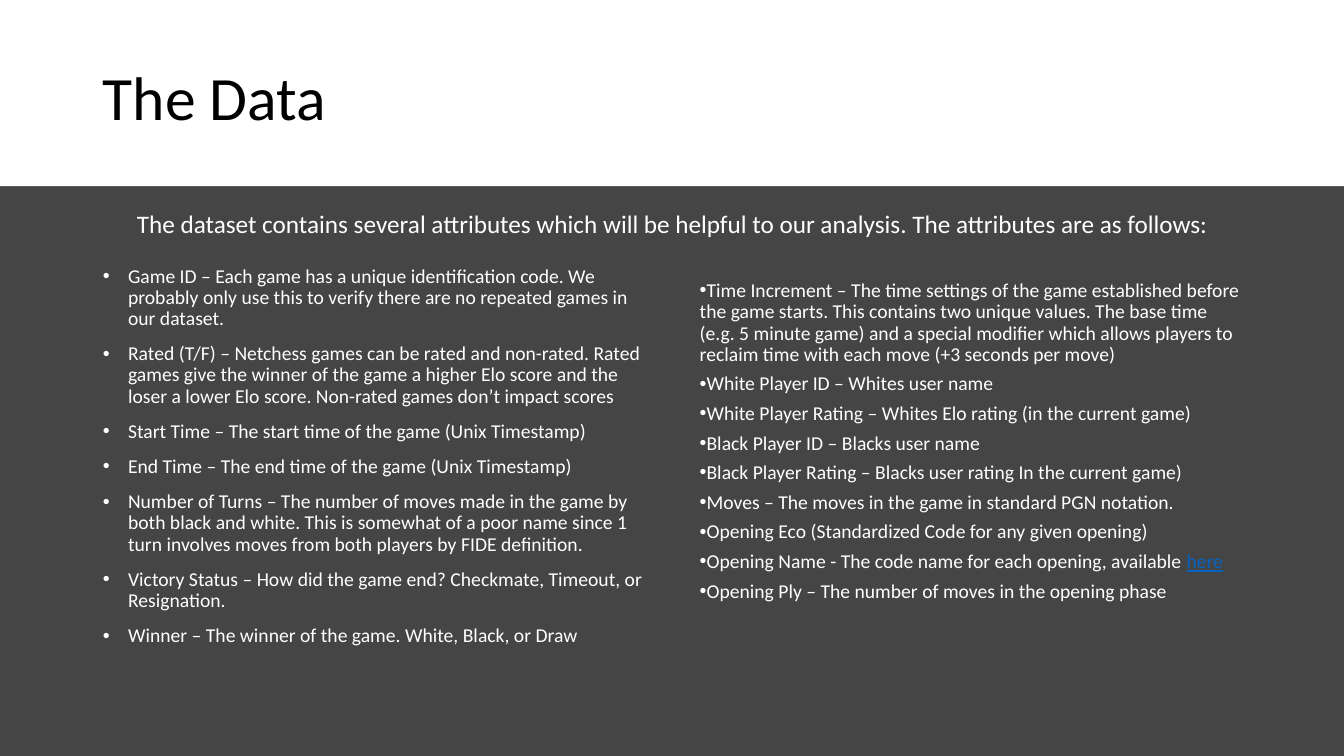
from dataclasses import dataclass

from lxml import etree
from pptx import Presentation, util as u
from pptx.dml.color import RGBColor
from pptx.enum import shapes, text
from pptx.oxml.ns import qn

FONT = "Calibri"
WHITE, DARK, BLACK, LINK = "FFFFFF", "454545", "000000", "0563C1"
LINK_WORD = "here"
SLIDE_WIDTH, SLIDE_HEIGHT, HEADER_HEIGHT = 13.33, 7.5, 1.85


@dataclass
class Band:
    top: float
    height: float
    color: str


@dataclass
class BulletList:
    left: float
    top: float
    width: float
    height: float
    margin: float
    before: float
    after: float
    items: list[str]


BANDS = [
    Band(0, HEADER_HEIGHT, WHITE),
    Band(HEADER_HEIGHT, SLIDE_HEIGHT - HEADER_HEIGHT, DARK),
]

LISTS = [
    BulletList(0.92, 2.3, 5.57, 4.46, margin=0.25, before=10, after=0, items=[
        "Game ID – Each game has a unique identification code. We probably only use this "
        "to verify there are no repeated games in our dataset.",
        "Rated (T/F) – Netchess games can be rated and non-rated. Rated games give the "
        "winner of the game a higher Elo score and the loser a lower Elo score. "
        "Non-rated games don’t impact scores",
        "Start Time – The start time of the game (Unix Timestamp)",
        "End Time – The end time of the game (Unix Timestamp)",
        "Number of Turns – The number of moves made in the game by both black and white. "
        "This is somewhat of a poor name since 1 turn involves moves from both players "
        "by FIDE definition.",
        "Victory Status – How did the game end? Checkmate, Timeout, or Resignation.",
        "Winner – The winner of the game. White, Black, or Draw",
    ]),
    BulletList(6.84, 2.3, 5.58, 4.16, margin=0, before=0, after=6, items=[
        "Time Increment – The time settings of the game established before the game "
        "starts. This contains two unique values. The base time (e.g. 5 minute game) and "
        "a special modifier which allows players to reclaim time with each move "
        "(+3 seconds per move)",
        "White Player ID – Whites user name",
        "White Player Rating – Whites Elo rating (in the current game)",
        "Black Player ID – Blacks user name",
        "Black Player Rating – Blacks user rating In the current game)",
        "Moves – The moves in the game in standard PGN notation.",
        "Opening Eco (Standardized Code for any given opening)",
        "Opening Name - The code name for each opening, available " + LINK_WORD,
        "Opening Ply – The number of moves in the opening phase",
    ]),
]


def rgb(color: str) -> RGBColor:
    return RGBColor.from_string(color)


def place(box, left: float, top: float, width: float, height: float, anchor) -> None:
    box.left, box.top = u.Inches(left), u.Inches(top)
    box.width, box.height = u.Inches(width), u.Inches(height)
    frame = box.text_frame
    frame.word_wrap = True
    frame.auto_size = text.MSO_AUTO_SIZE.NONE
    frame.vertical_anchor = anchor


def add_span(para, words: str, *, size: float, color: str = WHITE,
             underline: bool = False) -> None:
    span = para.add_run()
    span.text = words
    span.font.name, span.font.size = FONT, u.Pt(size)
    span.font.color.rgb = rgb(color)
    if underline:
        span.font.underline = True


def set_bullet(para, margin: float) -> None:
    """Give the paragraph a round bullet hanging a quarter inch."""
    props = para._p.get_or_add_pPr()
    props.set("marL", str(u.Inches(margin)))
    props.set("indent", str(u.Inches(-0.25)))
    etree.SubElement(props, qn("a:buFont")).set("typeface", "Arial")
    etree.SubElement(props, qn("a:buChar")).set("char", "•")


def add_band(page, band: Band, layer: int) -> None:
    """Draw a full-width band beneath the placeholders."""
    box = page.shapes.add_shape(shapes.MSO_SHAPE.RECTANGLE, 0, u.Inches(band.top),
                                u.Inches(SLIDE_WIDTH), u.Inches(band.height))
    box.shadow.inherit = False
    box.fill.solid()
    box.fill.fore_color.rgb = rgb(band.color)
    box.line.fill.background()
    page.shapes._spTree.insert(2 + layer, box._element)


def fill_list(box, bullets: BulletList) -> None:
    place(box, bullets.left, bullets.top, bullets.width, bullets.height,
          text.MSO_ANCHOR.MIDDLE)
    frame = box.text_frame
    for number, item in enumerate(bullets.items):
        para = frame.add_paragraph() if number else frame.paragraphs[0]
        para.line_spacing = 0.9
        para.space_before, para.space_after = u.Pt(bullets.before), u.Pt(bullets.after)
        set_bullet(para, bullets.margin)
        linked = item.endswith(" " + LINK_WORD) or item.endswith("\u00a0" + LINK_WORD)
        add_span(para, item.removesuffix(LINK_WORD) if linked else item, size=14)
        if linked:
            add_span(para, LINK_WORD, size=14, color=LINK, underline=True)


def main() -> None:
    deck = Presentation()
    deck.slide_width, deck.slide_height = u.Inches(SLIDE_WIDTH), u.Inches(SLIDE_HEIGHT)
    page = deck.slides.add_slide(deck.slide_layouts.get_by_name("Two Content"))
    page.background.fill.solid()
    page.background.fill.fore_color.rgb = rgb(DARK)

    for layer, band in enumerate(BANDS):
        add_band(page, band, layer)

    title = page.shapes.title
    place(title, 0.92, 0.4, 11.5, 1.2, text.MSO_ANCHOR.MIDDLE)
    heading = title.text_frame.paragraphs[0]
    heading.alignment, heading.line_spacing = text.PP_ALIGN.LEFT, 0.9
    add_span(heading, "The Data", size=44, color=BLACK)

    for slot, bullets in enumerate(LISTS, start=1):
        fill_list(page.placeholders[slot], bullets)

    intro = page.shapes.add_textbox(0, 0, 0, 0)
    place(intro, 1.12, 2.02, 11.1, 0.71, text.MSO_ANCHOR.TOP)
    para = intro.text_frame.paragraphs[0]
    para.alignment = text.PP_ALIGN.CENTER
    add_span(para, "The dataset contains several attributes which will be helpful to our "
                   "analysis. The attributes are as follows:", size=18)

    deck.save("out.pptx")


if __name__ == "__main__":
    main()
